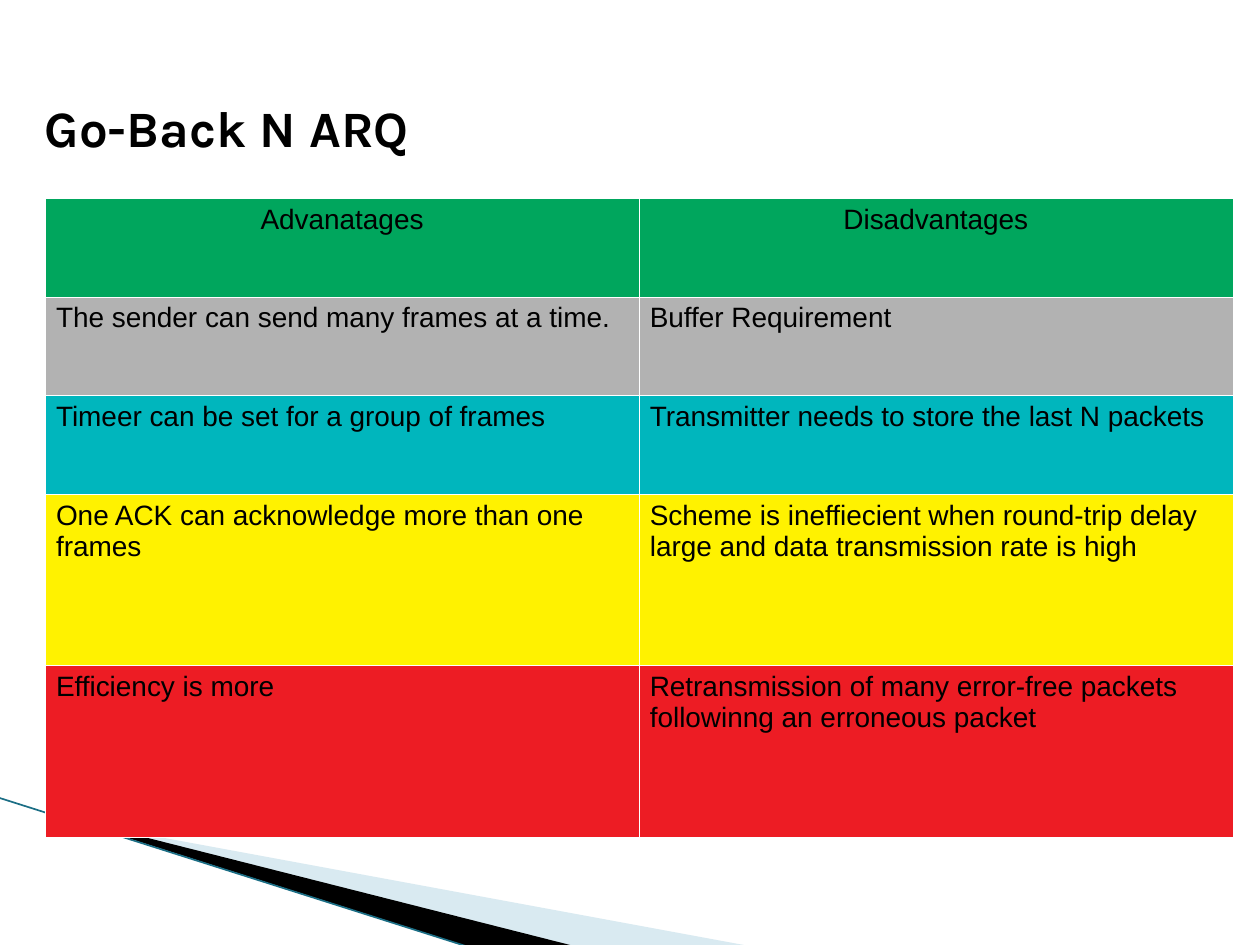
from lxml.etree import SubElement
from pptx import Presentation
from pptx.dml.color import RGBColor
from pptx.enum.shapes import MSO_CONNECTOR as Connector
from pptx.enum.text import MSO_ANCHOR as Anchor, PP_ALIGN as Align
from pptx.oxml.ns import qn
from pptx.util import Cm, Pt

COLORS = {
    "black": "000000",
    "white": "FFFFFF",
    "pale": "A0CBDC",
    "teal": "1B6E85",
    "green": "00A65D",
    "gray": "B2B2B2",
    "cyan": "00B6BD",
    "yellow": "FFF200",
    "red": "ED1C24",
}

ROWS = [
    ("green", 1.99, "Advanatages", "Disadvantages"),
    ("gray", 1.99, "The sender can send many frames at a time.", "Buffer Requirement"),
    ("cyan", 1.99, "Timeer can be set for a group of frames",
     "Transmitter needs to store the last N packets"),
    ("yellow", 3.45, "One ACK can acknowledge more than one frames",
     "Scheme is ineffiecient when round-trip delay large and data transmission rate is high"),
    ("red", 3.46, "Efficiency is more",
     "Retransmission of many error-free packets followinng an erroneous packet"),
]

PALE_WEDGE = [(1.4, 16.54), (15.15, 19.08), (11.58, 19.08), (1.4, 16.51)]
PALE_FRAME = (1.98, 13.89, 10.57, 4.01)
BLACK_WEDGE = [(1.35, 16.48), (11.61, 19.08), (9.5, 19.1), (1.37, 16.51)]
BLACK_FRAME = (-0.15, 16.08, 10.57, 2.34)


def color(name):
    return RGBColor.from_string(COLORS[name])


def write_text(frame, text, font="Arial", size=16, bold=False, align=Align.LEFT):
    frame.word_wrap = True
    paragraph = frame.paragraphs[0]
    paragraph.alignment = align
    run = paragraph.add_run()
    run.text = text
    run.font.name = font
    run.font.size = Pt(size)
    run.font.bold = bold
    run.font.color.rgb = color("black")


def set_frame(shape, frame):
    left, top, width, height = [Cm(value) for value in frame]
    shift_x, shift_y = shape.left - left, shape.top - top
    outline = shape._element.find(".//" + qn("a:path"))
    outline.set("w", str(width))
    outline.set("h", str(height))
    for point in outline.iter(qn("a:pt")):
        point.set("x", str(int(point.get("x")) + shift_x))
        point.set("y", str(int(point.get("y")) + shift_y))
    shape.left, shape.top, shape.width, shape.height = left, top, width, height


def add_wedge(slide, points, frame, fill, opacity=100):
    start, *others = [(Cm(x), Cm(y)) for x, y in points]
    builder = slide.shapes.build_freeform(*start)
    builder.add_line_segments(others)
    shape = builder.convert_to_shape()
    set_frame(shape, frame)
    shape.shadow.inherit = False
    shape.line.fill.background()
    shape.fill.solid()
    shape.fill.fore_color.rgb = color(fill)
    if opacity < 100:
        tone = shape.fill._xPr.find(".//" + qn("a:srgbClr"))
        SubElement(tone, qn("a:alpha"), val=str(opacity * 1000))


def add_edge(slide, start, end):
    line = slide.shapes.add_connector(
        Connector.STRAIGHT, *[Cm(value) for value in start + end])
    line.line.color.rgb = color("teal")
    line.line.width = Pt(0.95)
    SubElement(line._element.spPr, qn("a:effectLst"))


def add_title(slide, text):
    frame = slide.shapes.add_textbox(Cm(0.9), Cm(0.91), Cm(23.57), Cm(2.26)).text_frame
    frame.margin_left = frame.margin_right = frame.margin_top = frame.margin_bottom = 0
    frame.vertical_anchor = Anchor.BOTTOM
    write_text(frame, text, font="Karla", size=29.1, bold=True)


def set_borders(cell):
    properties = cell._tc.get_or_add_tcPr()
    for index, side in enumerate(("lnL", "lnR", "lnT", "lnB")):
        border = properties.makeelement(qn("a:" + side), {"w": str(Pt(0.06))})
        fill = SubElement(border, qn("a:solidFill"))
        SubElement(fill, qn("a:srgbClr"), val=COLORS["white"])
        properties.insert(index, border)


def add_comparison(slide):
    height = sum(row[1] for row in ROWS)
    table = slide.shapes.add_table(
        len(ROWS), 2, Cm(0.91), Cm(3.99), Cm(23.94), Cm(height)).table
    for row_index, (fill, row_height, *texts) in enumerate(ROWS):
        table.rows[row_index].height = Cm(row_height)
        for column_index, text in enumerate(texts):
            cell = table.cell(row_index, column_index)
            cell.margin_left = cell.margin_right = Cm(0.22)
            cell.margin_top = cell.margin_bottom = Cm(0.12)
            cell.fill.solid()
            cell.fill.fore_color.rgb = color(fill)
            set_borders(cell)
            align = Align.CENTER if row_index == 0 else Align.LEFT
            write_text(cell.text_frame, text, align=align)


def main():
    presentation = Presentation()
    presentation.slide_width = Cm(25.4)
    presentation.slide_height = Cm(19.05)
    slide = presentation.slides.add_slide(presentation.slide_layouts[6])
    add_wedge(slide, PALE_WEDGE, PALE_FRAME, "pale", opacity=40)
    add_wedge(slide, BLACK_WEDGE, BLACK_FRAME, "black")
    add_edge(slide, (-0.03, 16.08), (9.48, 19.1))
    add_title(slide, "Go-Back N ARQ")
    add_comparison(slide)
    presentation.save("out.pptx")


if __name__ == "__main__":
    main()
